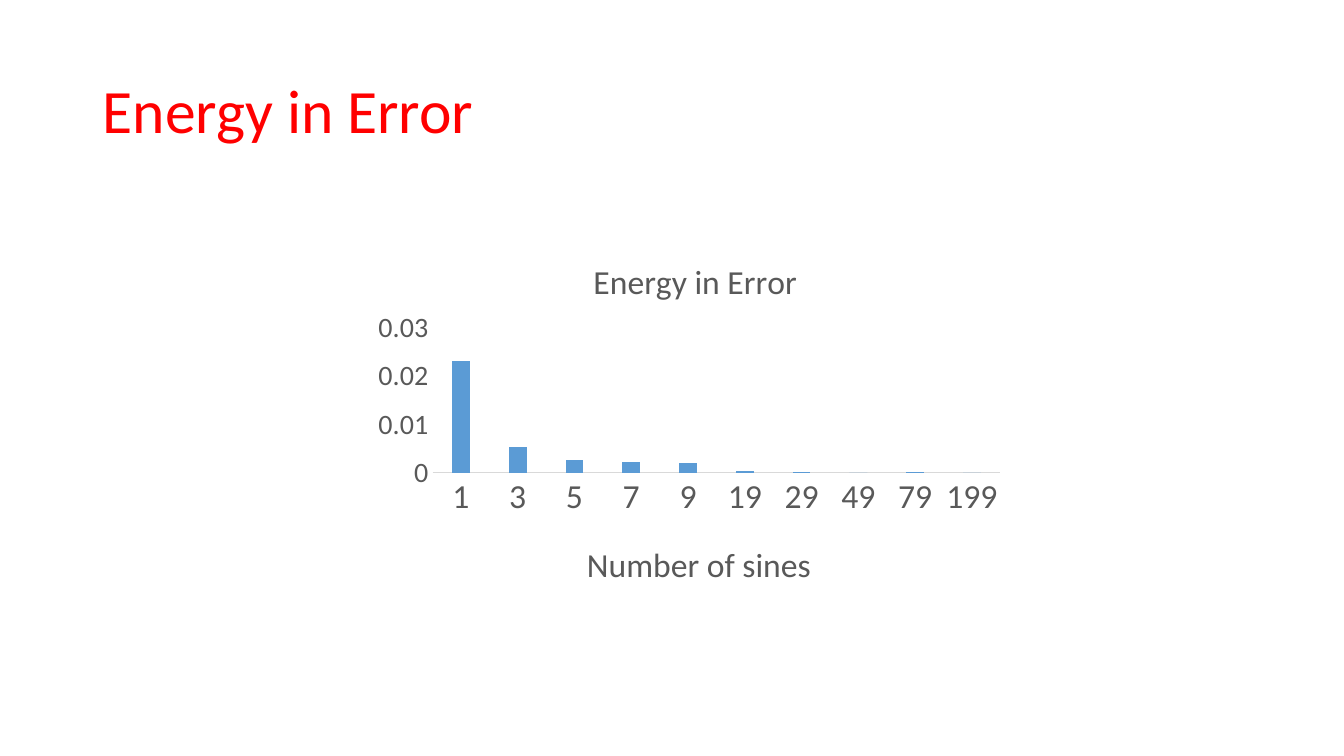
import pptx
import pptx.util
import pptx.chart.data
import pptx.dml.color
import pptx.enum.chart
import pptx.enum.text
import pptx.oxml
import pptx.oxml.ns

HEADING = "Energy in Error"
AXIS_TITLE = "Number of sines"
ERROR_ENERGY = {
    "1": 0.0231, "3": 0.0053, "5": 0.0027, "7": 0.0022, "9": 0.002,
    "19": 0.0003, "29": 0.0002, "49": 0, "79": 0.0001, "199": 0,
}
COLOURS = {"heading": "FF0000", "label": "595959", "line": "D9D9D9", "bar": "5B9BD5"}
FONT = "Calibri"

Inches = pptx.util.Inches
Pt = pptx.util.Pt
qn = pptx.oxml.ns.qn


def colour(name):
    return pptx.dml.color.RGBColor.from_string(COLOURS[name])


def style(font, size, tint):
    font.name = FONT
    font.size = Pt(size)
    font.bold = False
    font.color.rgb = colour(tint)


def write(frame, text, size, tint, spacing=None):
    paragraph = frame.paragraphs[0]
    paragraph.line_spacing = spacing
    span = paragraph.add_run()
    span.text = text
    style(span.font, size, tint)


def place(element, index, inner=False, **fractions):
    for old in element.findall(qn("c:layout")):
        element.remove(old)
    target = '<c:layoutTarget val="inner"/>' if inner else ""
    modes = "".join(f'<c:{key}Mode val="edge"/>' for key in "xy")
    values = "".join(f'<c:{key} val="{value}"/>' for key, value in fractions.items())
    element.insert(index, pptx.oxml.parse_xml(
        f'<c:layout {pptx.oxml.ns.nsdecls("c")}><c:manualLayout>'
        f"{target}{modes}{values}</c:manualLayout></c:layout>"))


deck = pptx.Presentation()
deck.slide_width = Inches(13.33)
deck.slide_height = Inches(7.5)
page = deck.slides.add_slide(deck.slide_layouts[6])

box = page.shapes.add_textbox(Inches(0.92), Inches(0.4), Inches(11.5), Inches(1.45))
box.text_frame.word_wrap = True
box.text_frame.vertical_anchor = pptx.enum.text.MSO_ANCHOR.MIDDLE
write(box.text_frame, HEADING, 44, "heading", spacing=0.9)

data = pptx.chart.data.CategoryChartData()
data.categories = list(ERROR_ENERGY)
data.add_series("Series 1", list(ERROR_ENERGY.values()))
chart = page.shapes.add_chart(
    pptx.enum.chart.XL_CHART_TYPE.COLUMN_CLUSTERED,
    Inches(3.65), Inches(2.25), Inches(6.4), Inches(3.7), data).chart
chart.has_legend = False
style(chart.font, 10, "label")

plot = chart.plots[0]
plot.gap_width = 219
plot.overlap = -27
plot.vary_by_categories = False
bars = plot.series[0].format.fill
bars.solid()
bars.fore_color.rgb = colour("bar")

sines, energy = chart.category_axis, chart.value_axis
for axis, size in ((sines, 24), (energy, 20)):
    axis.has_major_gridlines = False
    axis.major_tick_mark = pptx.enum.chart.XL_TICK_MARK.NONE
    axis.minor_tick_mark = pptx.enum.chart.XL_TICK_MARK.NONE
    style(axis.tick_labels.font, size, "label")
sines.format.line.color.rgb = colour("line")
sines.format.line.width = Pt(0.75)
energy.format.line.fill.background()
energy.minimum_scale, energy.maximum_scale, energy.major_unit = 0, 0.03, 0.01
energy.tick_labels.number_format = "General"
energy.tick_labels.number_format_is_linked = False

for owner, text, left, top in ((chart, HEADING, 0.34, 0.07), (sines, AXIS_TITLE, 0.33, 0.83)):
    owner.has_title = True
    title = owner.chart_title if owner is chart else owner.axis_title
    write(title.text_frame, text, 24, "label")
    place(title._element, 1, x=left, y=top)
place(chart._chartSpace.chart.plotArea, 0, inner=True, x=0.1, y=0.27, w=0.88, h=0.39)

deck.save("out.pptx")
